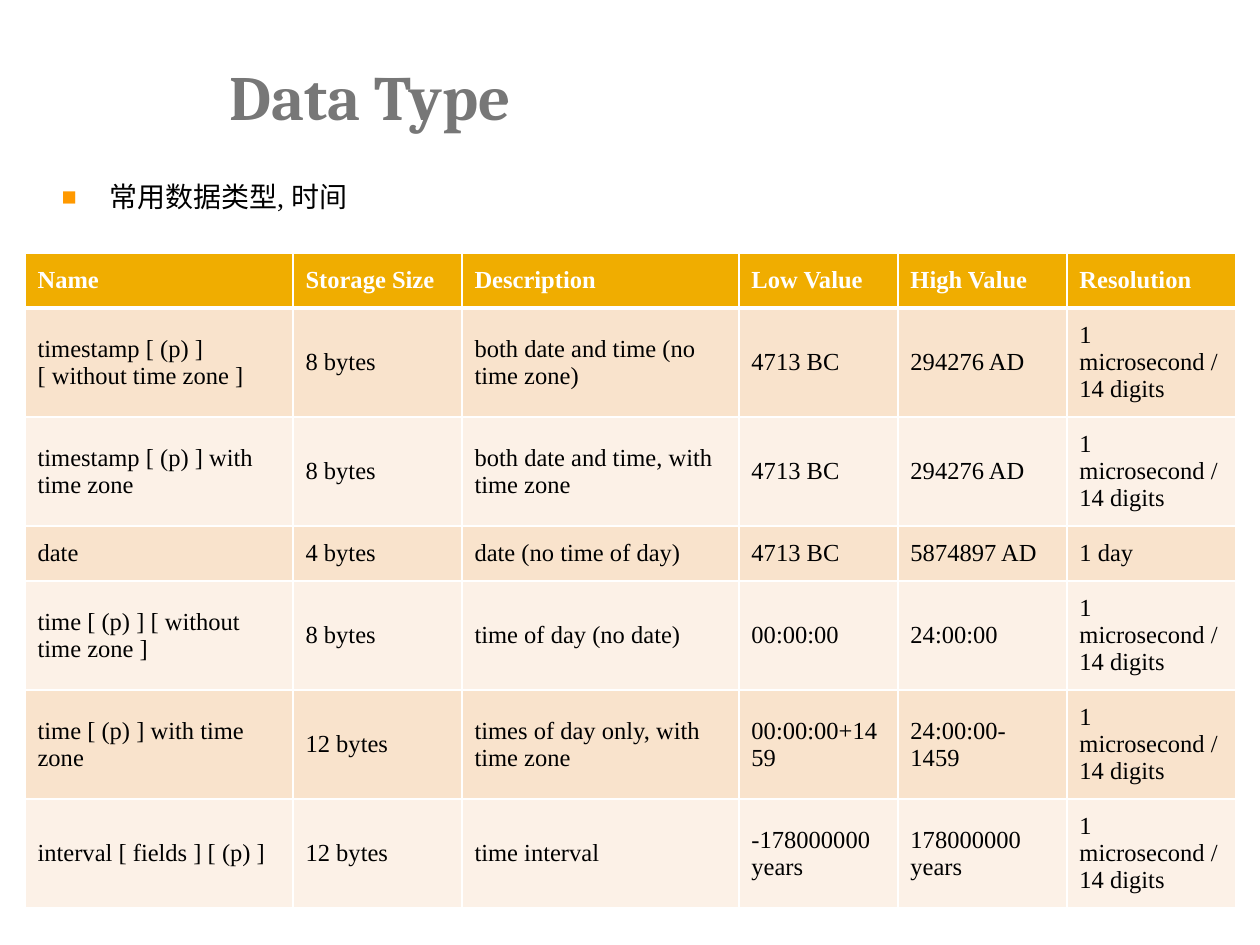
from dataclasses import dataclass

from lxml import etree
from pptx import Presentation
from pptx.dml.color import RGBColor
from pptx.enum.text import MSO_ANCHOR, MSO_AUTO_SIZE, PP_ALIGN
from pptx.oxml.ns import qn
from pptx.util import Pt

MID = MSO_ANCHOR.MIDDLE
TOP = MSO_ANCHOR.TOP
LEFT = PP_ALIGN.LEFT
FIXED = MSO_AUTO_SIZE.NONE
SCALE = 914400 / 126


@dataclass(frozen=True)
class Theme:
    head: str = "Cambria"
    text: str = "Times New Roman"
    grey: str = "777777"
    black: str = "000000"
    white: str = "FFFFFF"
    mark: str = "FF9900"
    gold: str = "F0AD00"
    bands: tuple = ("F9E3CC", "FCF1E7")
    big: int = 36
    mid: int = 16
    small: int = 14


THEME = Theme()
COLS = [268, 169, 277, 159, 169, 169]
TALL, SHORT = 109, 55
FINE = "1 microsecond / 14 digits"
ROWS = [
    ["Name", "Storage Size", "Description", "Low Value", "High Value", "Resolution"],
    ["timestamp [ (p) ] [ without time zone ]", "8 bytes",
     "both date and time (no time zone)", "4713 BC", "294276 AD", FINE],
    ["timestamp [ (p) ] with time zone", "8 bytes",
     "both date and time, with time zone", "4713 BC", "294276 AD", FINE],
    ["date", "4 bytes", "date (no time of day)", "4713 BC", "5874897 AD", "1 day"],
    ["time [ (p) ] [ without time zone ]", "8 bytes",
     "time of day (no date)", "00:00:00", "24:00:00", FINE],
    ["time [ (p) ] with time zone", "12 bytes",
     "times of day only, with time zone", "00:00:00+1459", "24:00:00-1459", FINE],
    ["interval [ fields ] [ (p) ]", "12 bytes",
     "time interval", "-178000000 years", "178000000 years", FINE],
]


def px(num):
    return round(num * SCALE)


def place(shape, box):
    shape.left, shape.top, shape.width, shape.height = map(px, box)


def write(frame, text, font=THEME.text, size=THEME.small, color=THEME.black, bold=False):
    par = frame.paragraphs[0]
    par.alignment = LEFT
    run = par.add_run()
    run.text = text
    run.font.name = font
    run.font.size = Pt(size)
    run.font.bold = bold
    run.font.color.rgb = RGBColor.from_string(color)
    return par


def edge(cell, top, base):
    props = cell._tc.get_or_add_tcPr()
    sides = [("lnL", 1), ("lnR", 1), ("lnT", top), ("lnB", base)]
    for spot, (side, wide) in enumerate(sides):
        line = etree.Element(qn(f"a:{side}"), w=str(Pt(wide)))
        fill = etree.SubElement(line, qn("a:solidFill"))
        etree.SubElement(fill, qn("a:srgbClr"), val=THEME.white)
        props.insert(spot, line)


def title(slide, box):
    shape = slide.shapes.title
    place(shape, box)
    frame = shape.text_frame
    frame.vertical_anchor = MID
    frame.auto_size = FIXED
    write(frame, "Data Type", font=THEME.head, size=THEME.big, color=THEME.grey, bold=True)


def body(slide, box):
    shape = slide.placeholders[1]
    place(shape, box)
    frame = shape.text_frame
    frame.vertical_anchor = TOP
    frame.auto_size = FIXED
    par = write(frame, "常用数据类型, 时间", size=THEME.mid)
    par.line_spacing = 1.2
    par.space_before = Pt(3)
    props = par._p.get_or_add_pPr()
    props.set("marL", str(px(48)))
    props.set("indent", str(-px(48)))
    tint = etree.SubElement(props, qn("a:buClr"))
    etree.SubElement(tint, qn("a:srgbClr"), val=THEME.mark)
    etree.SubElement(props, qn("a:buSzPct"), val="90000")
    etree.SubElement(props, qn("a:buChar"), char="■")


def grid(slide, box):
    shape = slide.shapes.add_table(len(ROWS), len(COLS), *map(px, box))
    table = shape.table
    for col, wide in zip(table.columns, COLS):
        col.width = px(wide)
    for at, texts in enumerate(ROWS):
        head = at == 0
        table.rows[at].height = px(TALL if FINE in texts else SHORT)
        back = THEME.gold if head else THEME.bands[(at - 1) % 2]
        for col, text in enumerate(texts):
            cell = table.cell(at, col)
            cell.vertical_anchor = MID
            cell.fill.solid()
            cell.fill.fore_color.rgb = RGBColor.from_string(back)
            edge(cell, top=3 if at == 1 else 1, base=3 if head else 1)
            write(cell.text_frame, text, bold=head,
                  color=THEME.white if head else THEME.black)


def main():
    deck = Presentation()
    deck.slide_width, deck.slide_height = px(1260), px(945)
    slide = deck.slides.add_slide(deck.slide_layouts[1])
    title(slide, (217, 50, 980, 90))
    body(slide, (49, 167, 1148, 690))
    grid(slide, (25, 253, sum(COLS), 655))
    deck.save("out.pptx")


if __name__ == "__main__":
    main()
